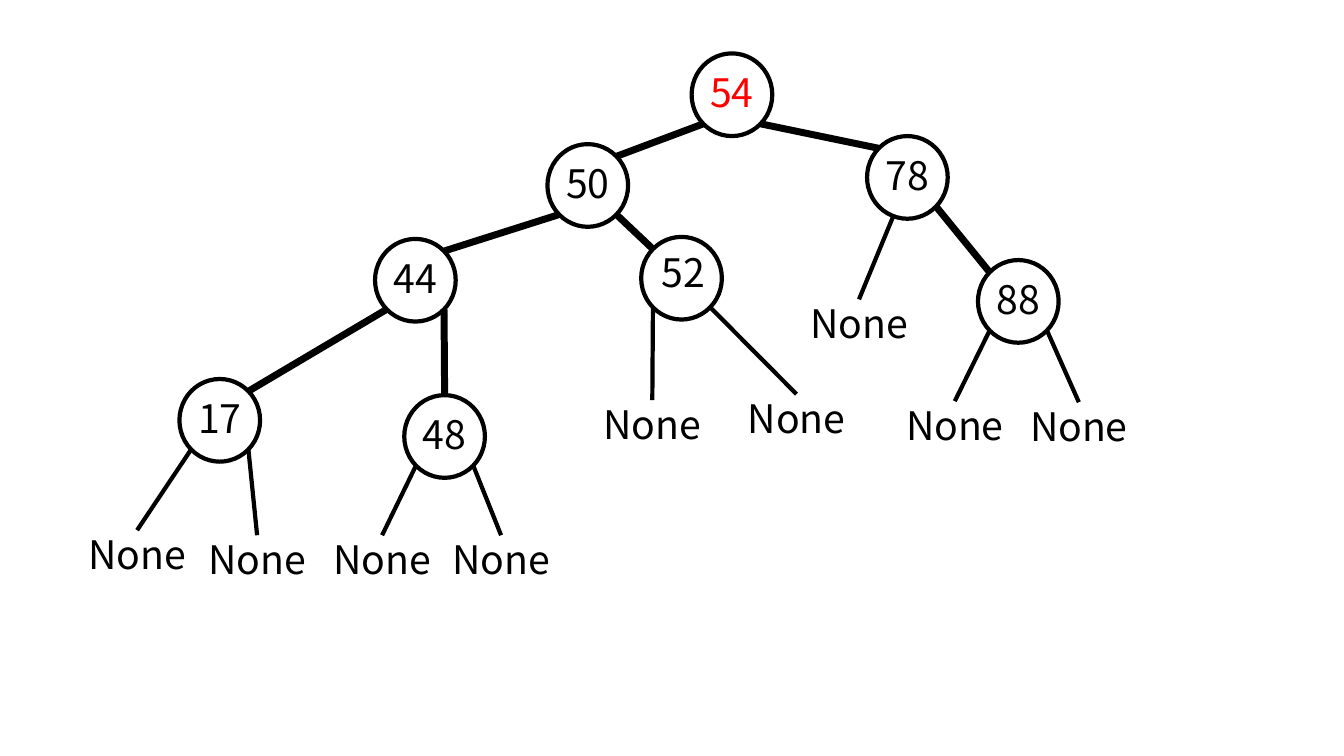
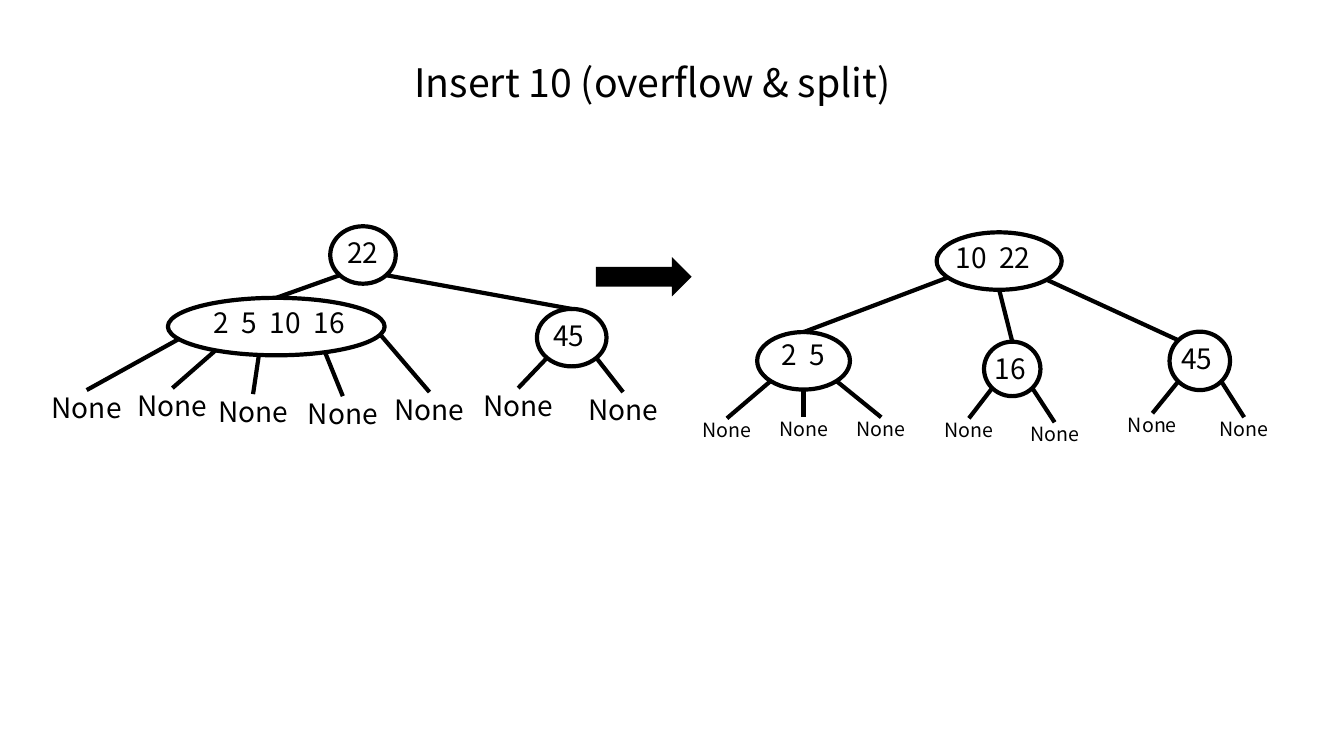
from dataclasses import dataclass
from math import copysign, sqrt

from lxml.etree import SubElement
from pptx import Presentation
from pptx.dml.color import RGBColor
from pptx.enum.shapes import MSO_CONNECTOR, MSO_SHAPE
from pptx.enum.text import MSO_ANCHOR, PP_ALIGN
from pptx.oxml.ns import qn
from pptx.util import Inches, Pt


@dataclass(frozen=True)
class Theme:
    font: str = "Noto Sans CJK KR"
    ink: str = "000000"
    paper: str = "FFFFFF"
    mark: str = "FF0000"
    large: int = 28
    mid: int = 20
    small: int = 14
    thin: float = 3
    thick: float = 5
    gap: int = 450  # extra space between keys, in 1/100 pt


@dataclass(frozen=True)
class Node:
    """Places are columns and rows of a grid with one-inch cells.

    A port is the share of the half width, from -1 to 1, where a line leaves
    the lower edge. kids: (port, name, child port); leaves: (port, x, y).
    """
    x: float
    y: float
    size: tuple
    kids: tuple = ()
    leaves: tuple = ()
    shift: tuple = (0, -0.2)
    color: str = Theme.ink


@dataclass(frozen=True)
class Style:
    key: int
    leaf: int
    box: tuple
    edge: float = Theme.thin


T = Theme()
COLS, ROWS = 13.33, 7.5
DIAG = 0.71
DISC = (0.8, 0.82)
MID = (0, -0.26)

BIG = Style(T.large, T.large, (1.2, 0.5), T.thick)
FULL = Style(T.mid, T.mid, (0.97, 0.44))
SPLIT = Style(T.mid, T.small, (0.78, 0.36))

SEARCH = {
    "54": Node(7.26, 0.94, DISC, shift=MID, color=T.mark,
               kids=((-DIAG, "50", DIAG), (DIAG, "78", -DIAG))),
    "50": Node(5.83, 1.84, DISC, shift=MID,
               kids=((-DIAG, "44", DIAG), (DIAG, "52", -DIAG))),
    "78": Node(9, 1.76, DISC, shift=MID, kids=((DIAG, "88", -DIAG),),
               leaves=((-0.35, 8.52, 2.97),)),
    "44": Node(4.12, 2.78, DISC, shift=MID,
               kids=((-DIAG, "17", DIAG), (DIAG, "48", 0))),
    "52": Node(6.76, 2.76, DISC, shift=(0.02, -0.3),
               leaves=((-DIAG, 6.47, 3.97), (DIAG, 7.9, 3.91))),
    "88": Node(10.1, 2.99, DISC, shift=MID,
               leaves=((-DIAG, 9.47, 3.98), (DIAG, 10.7, 3.99))),
    "17": Node(2.18, 4.17, DISC, shift=MID,
               leaves=((-DIAG, 1.36, 5.26), (DIAG, 2.55, 5.31))),
    "48": Node(4.41, 4.33, DISC, shift=MID,
               leaves=((-DIAG, 3.79, 5.31), (DIAG, 4.97, 5.31))),
}

BEFORE = {
    "22": Node(3.6, 2.53, (0.65, 0.57), shift=(0, -0.19),
               kids=((-DIAG, "2 5 10 16", 0), (DIAG, "45", 0))),
    "2 5 10 16": Node(2.74, 3.24, (2.15, 0.57), shift=(0.03, -0.21),
                      leaves=((-0.9, 0.86, 3.87), (-0.56, 1.71, 3.85),
                              (-0.16, 2.51, 3.91), (0.45, 3.4, 3.93),
                              (0.96, 4.26, 3.89))),
    "45": Node(5.67, 3.35, (0.69, 0.57), shift=(-0.03, -0.19),
               leaves=((-DIAG, 5.14, 3.85), (DIAG, 6.18, 3.89))),
}

AFTER = {
    "10 22": Node(9.91, 2.59, (1.24, 0.57), shift=(-0.06, -0.2),
                  kids=((-0.82, "2 5", 0), (0, "16", 0),
                        (0.76, "45", -DIAG))),
    "2 5": Node(7.97, 3.58, (0.92, 0.57), shift=(0, -0.23),
                leaves=((-DIAG, 7.21, 4.15), (0, 7.97, 4.14),
                        (DIAG, 8.74, 4.14))),
    "16": Node(10.04, 3.66, (0.56, 0.54), shift=(-0.02, -0.17),
               leaves=((-DIAG, 9.61, 4.15), (DIAG, 10.46, 4.19))),
    "45": Node(11.9, 3.58, (0.6, 0.58), shift=(-0.03, -0.19),
               leaves=((-DIAG, 11.43, 4.1), (DIAG, 12.34, 4.14))),
}

SLIDES = (
    {"trees": ((SEARCH, BIG),)},
    {"title": "Insert 10 (overflow & split)",
     "arrow": (5.91, 2.55, 0.95, 0.39),
     "trees": ((BEFORE, FULL), (AFTER, SPLIT))},
)


def rgb(code):
    return RGBColor.from_string(code)


def write(slide, text, x, y, w, h, *, size, color=T.ink, gap=0):
    """Text centred on x with its top at y; gap widens each space."""
    box = slide.shapes.add_textbox(*map(Inches, (x - w / 2, y, w, h)))
    frame = box.text_frame
    frame.word_wrap = True
    frame.vertical_anchor = MSO_ANCHOR.TOP
    frame.margin_left = frame.margin_right = 0
    frame.margin_top = frame.margin_bottom = 0
    para = frame.paragraphs[0]
    para.alignment = PP_ALIGN.CENTER
    parts = text.replace(" ", "| |").split("|") if gap else [text]
    for part in parts:
        run = para.add_run()
        run.text = part
        font = run.font
        font.name, font.size = T.font, Pt(size)
        font.color.rgb = rgb(color)
        props = run._r.get_or_add_rPr()
        SubElement(props, qn("a:ea")).set("typeface", T.font)
        if part == " ":
            props.set("spc", str(gap))


def shape(slide, kind, x, y, w, h, fill=None):
    item = slide.shapes.add_shape(kind, *map(Inches, (x, y, w, h)))
    item.shadow.inherit = False
    if fill:
        item.fill.solid()
        item.fill.fore_color.rgb = rgb(fill)
        item.line.fill.background()
    else:
        item.fill.background()
        item.line.color.rgb = rgb(T.ink)
        item.line.width = Pt(T.thin)


def link(slide, start, end, width):
    line = slide.shapes.add_connector(
        MSO_CONNECTOR.STRAIGHT, *map(Inches, start + end))
    line.line.color.rgb = rgb(T.ink)
    line.line.width = Pt(width)
    SubElement(line._element.spPr, qn("a:effectLst"))


def port(node, share, side):
    """Point on the ellipse; side is 1 for the lower edge, -1 for the upper."""
    w, h = node.size
    rise = copysign(h / 2 * sqrt(1 - share ** 2), side)
    return node.x + share * w / 2, node.y + rise


def tree(slide, nodes, style):
    for name, node in nodes.items():
        w, h = node.size
        shape(slide, MSO_SHAPE.OVAL, node.x - w / 2, node.y - h / 2, w, h)
        dx, dy = node.shift
        write(slide, name, node.x + dx, node.y + dy, w + 0.1, style.box[1],
              size=style.key, color=node.color, gap=T.gap)
        for share, kid, top in node.kids:
            link(slide, port(node, share, 1), port(nodes[kid], top, -1),
                 style.edge)
        for share, x, y in node.leaves:
            link(slide, port(node, share, 1), (x, y), T.thin)
            write(slide, "None", x, y, *style.box, size=style.leaf)


def main():
    deck = Presentation()
    deck.slide_width, deck.slide_height = Inches(COLS), Inches(ROWS)
    for page in SLIDES:
        slide = deck.slides.add_slide(deck.slide_layouts[6])
        slide.background.fill.solid()
        slide.background.fill.fore_color.rgb = rgb(T.paper)
        if "title" in page:
            write(slide, page["title"], 6.47, 0.58, 7.45, 0.57, size=T.large)
        for nodes, style in page["trees"]:
            tree(slide, nodes, style)
        if "arrow" in page:
            shape(slide, MSO_SHAPE.RIGHT_ARROW, *page["arrow"], fill=T.ink)
    deck.save("out.pptx")


if __name__ == "__main__":
    main()
